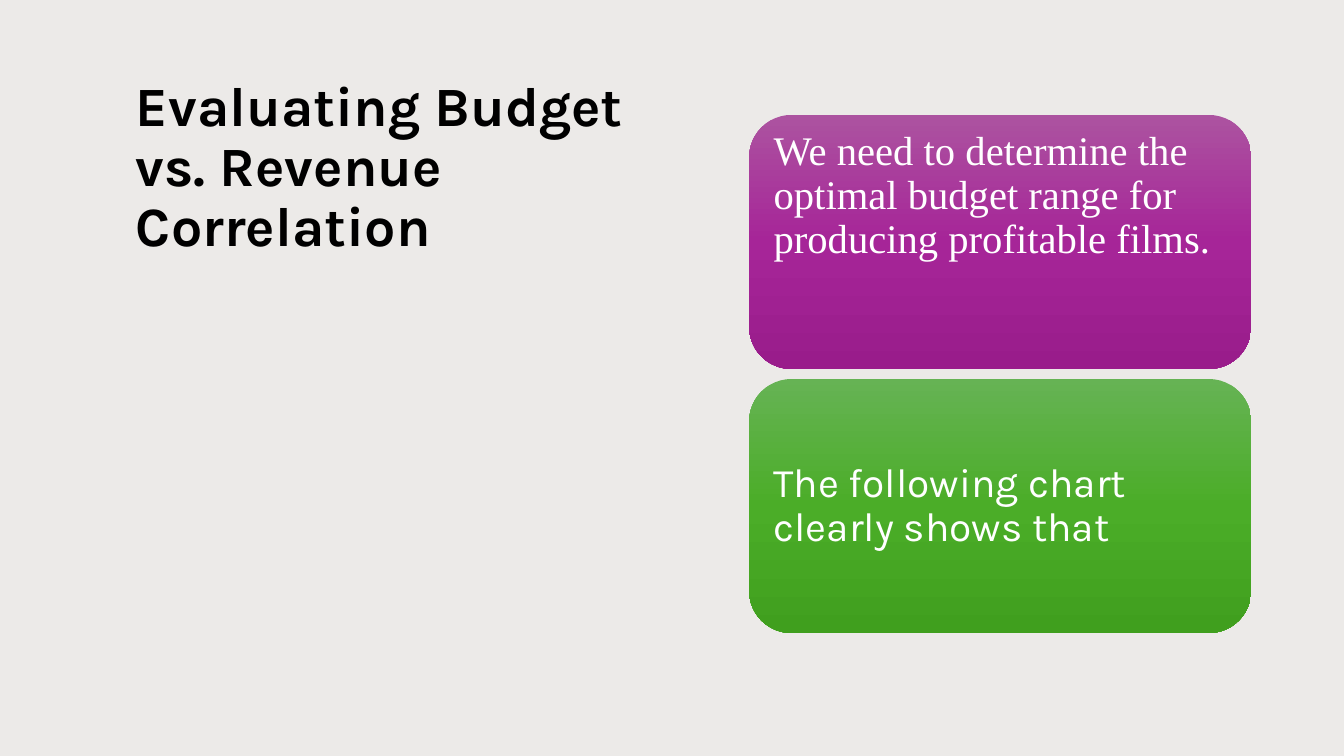
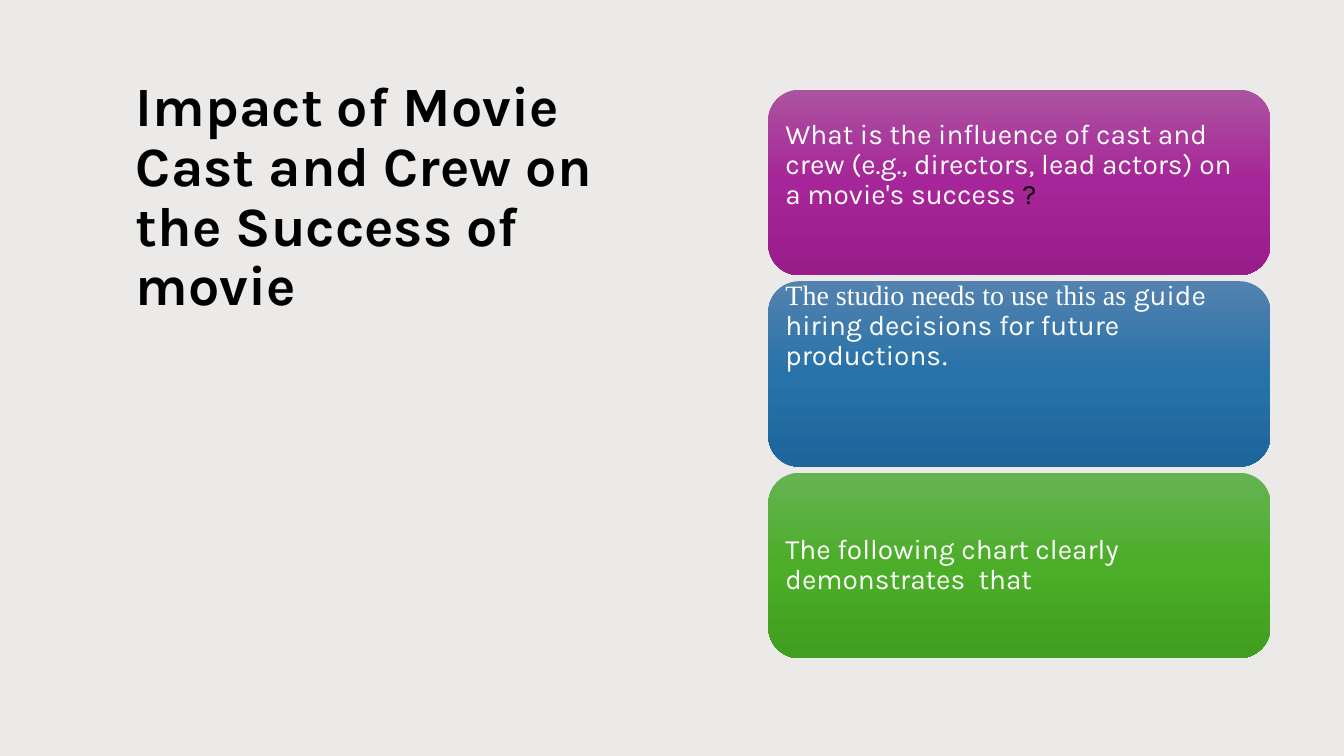
from lxml import etree
from pptx import Presentation
from pptx.dml.color import RGBColor
from pptx.enum.shapes import MSO_SHAPE
from pptx.enum.text import MSO_ANCHOR, PP_ALIGN
from pptx.oxml import parse_xml
from pptx.oxml.ns import nsdecls, qn
from pptx.util import Inches, Pt

W, H = 13.33, 7.5
COLORS = {"wash": "82766A", "ink": "000000", "text": "FFFFFF"}
GRADIENTS = {
    "purple": ("AC53A0", "A62598", "991C8B"),
    "blue": ("5382AF", "2772A9", "1D669C"),
    "green": ("66B354", "4BAD28", "409F1E"),
}
SANS, SERIF = "Karla", "Times New Roman"


def add_run(p, text, size, font=SANS, color="text", bold=False):
    """Append one styled run to a paragraph."""
    r = p.add_run()
    r.text = text
    r.font.size, r.font.name, r.font.bold = Pt(size), font, bold
    r.font.color.rgb = RGBColor.from_string(COLORS[color])


def add_title(s, box, text):
    """Place the wrapping bold title."""
    tf = s.shapes.add_textbox(*map(Inches, box)).text_frame
    tf.word_wrap = True
    p = tf.paragraphs[0]
    p.line_spacing = 0.9
    add_run(p, text, 39.6, color="ink", bold=True)


def add_panel(s, kind, box):
    """Add a borderless preset shape without shadow."""
    sp = s.shapes.add_shape(kind, *map(Inches, box))
    sp.shadow.inherit = False
    sp.line.fill.background()
    return sp


def add_ground(s, box):
    """Tint a box with the translucent wash colour."""
    sp = add_panel(s, MSO_SHAPE.RECTANGLE, box)
    sp.fill.solid()
    sp.fill.fore_color.rgb = RGBColor.from_string(COLORS["wash"])
    tint = sp.element.spPr.find(qn("a:solidFill"))[0]
    etree.SubElement(tint, qn("a:alpha")).set("val", "15000")


def fill_gradient(sp, stops):
    """Fill a shape from top to bottom with three evenly spaced stops."""
    sp.fill.gradient()
    sp.fill.gradient_angle = 270
    gs_list = sp.element.spPr.find(qn("a:gradFill")).find(qn("a:gsLst"))
    for old in list(gs_list):
        gs_list.remove(old)
    for i, color in enumerate(stops):
        gs_list.append(parse_xml(
            f'<a:gs {nsdecls("a")} pos="{i * 50000}"><a:srgbClr val="{color}"/></a:gs>'))


def add_card(s, box, gradient, size, inset, top, runs):
    """Add a rounded card; text starts at top, or is centred when top is None."""
    sp = add_panel(s, MSO_SHAPE.ROUNDED_RECTANGLE, box)
    fill_gradient(sp, GRADIENTS[gradient])
    tf = sp.text_frame
    tf.word_wrap = True
    tf.vertical_anchor = MSO_ANCHOR.MIDDLE if top is None else MSO_ANCHOR.TOP
    tf.margin_left = tf.margin_right = tf.margin_bottom = Inches(inset)
    tf.margin_top = Inches(inset if top is None else top)
    p = tf.paragraphs[0]
    p.alignment, p.line_spacing = PP_ALIGN.LEFT, 0.9
    for text, style in runs:
        add_run(p, text, size, **style)


def add_stack(s, box, gap, size, inset, cards):
    """Stack cards of equal height in a box."""
    x, y, w, h = box
    step = (h + gap) / len(cards)
    for i, (gradient, top, runs) in enumerate(cards):
        add_card(s, (x, y + i * step, w, step - gap), gradient, size, inset, top, runs)


def add_slide(prs, title, **stack):
    """Build a slide with tinted ground, title and card stack."""
    s = prs.slides.add_slide(prs.slide_layouts[6])
    add_ground(s, (0, 0, W, H))
    add_title(s, (1.25, 0.73, 5.12, 2.35), title)
    add_stack(s, **stack)


def main():
    """Build and save the two slides."""
    prs = Presentation()
    prs.slide_width, prs.slide_height = Inches(W), Inches(H)
    serif = {"font": SERIF}
    add_slide(
        prs, "Evaluating Budget vs. Revenue Correlation",
        box=(7.43, 1.14, 4.98, 5.14), gap=0.1, size=29, inset=0.12,
        cards=[
            ("purple", 0.03, [("We need to determine the optimal budget range "
                               "for producing profitable films.", serif)]),
            ("green", None, [("The following chart clearly shows that", {})]),
        ])
    add_slide(
        prs, "Impact of Movie Cast and Crew on the Success of movie",
        box=(7.62, 0.89, 4.98, 5.64), gap=0.06, size=20, inset=0.08,
        cards=[
            ("purple", 0.21, [("What is the influence of cast and crew (e.g., directors, "
                               "lead actors) on a movie's success ", {}),
                              ("?", {"color": "ink"})]),
            ("blue", -0.09, [("The studio needs to use this as ", serif),
                             ("guide hiring decisions for future productions", {}),
                             (".", serif)]),
            ("green", None, [("The following chart clearly demonstrates  that", {})]),
        ])
    prs.save("out.pptx")


if __name__ == "__main__":
    main()
